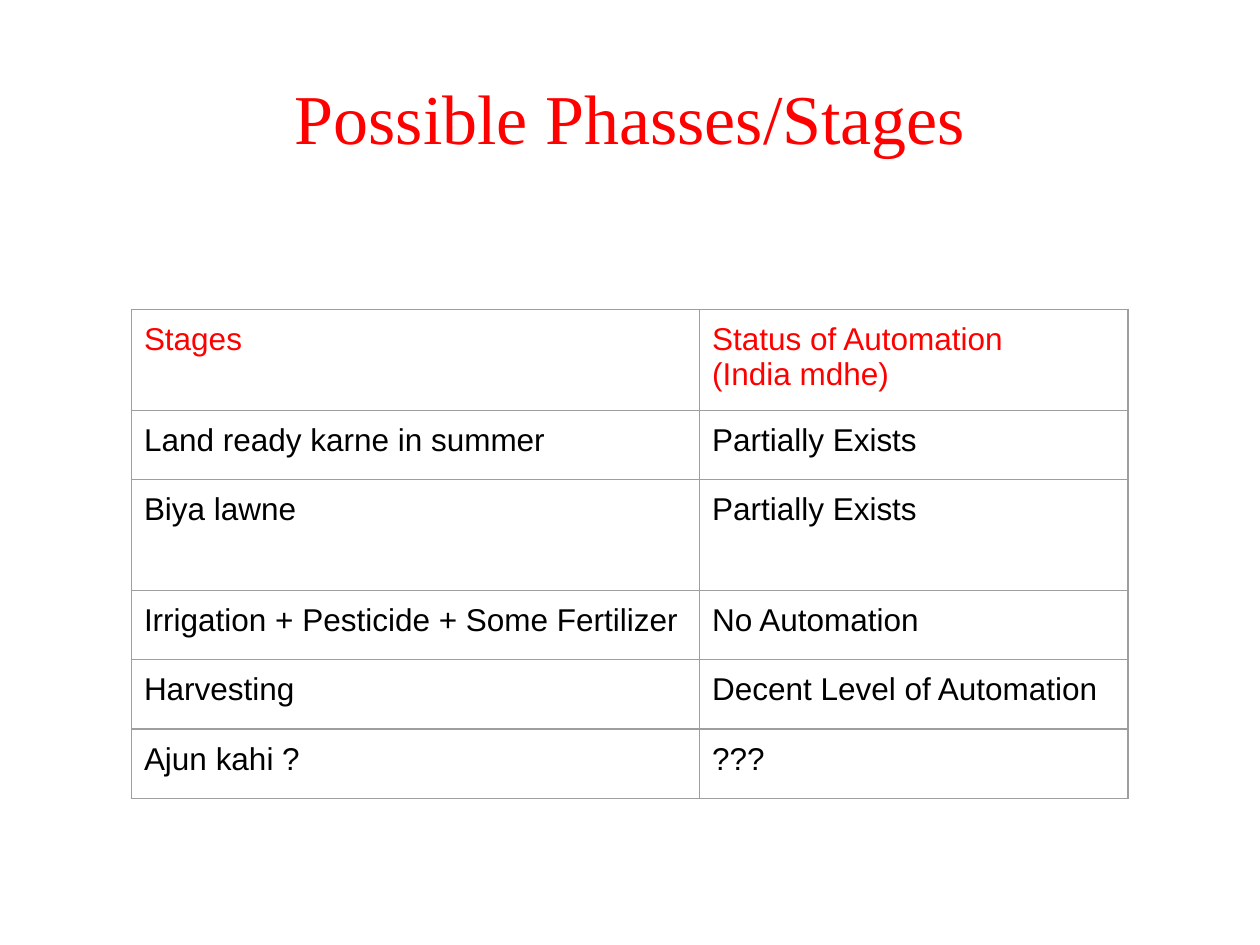
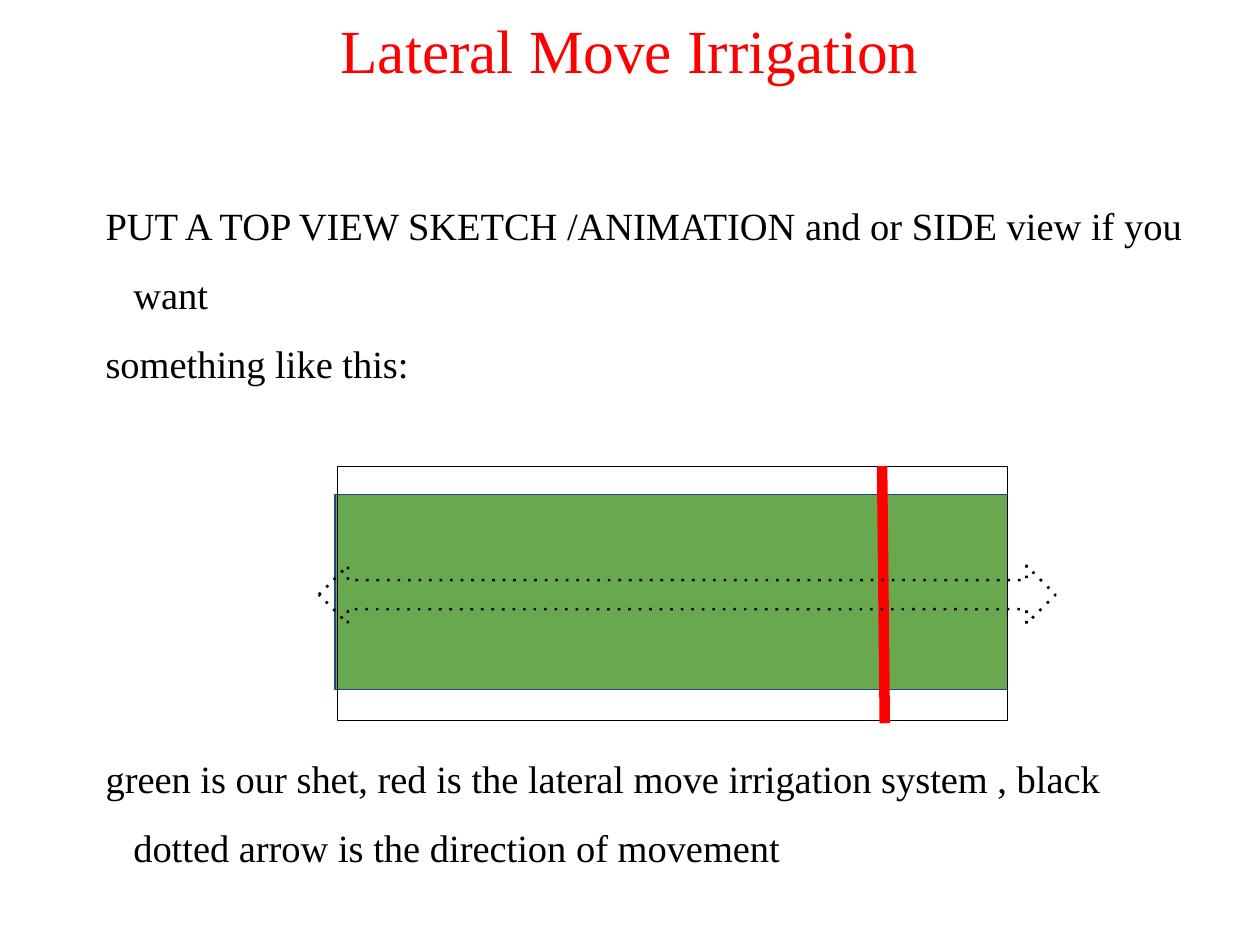
from collections import namedtuple

from lxml.etree import SubElement
from pptx import Presentation
from pptx.dml.color import RGBColor
from pptx.enum.shapes import MSO_CONNECTOR as Connector, MSO_SHAPE as Shape
from pptx.enum.text import MSO_ANCHOR as Anchor, PP_ALIGN as Align
from pptx.oxml.ns import qn
from pptx.util import Inches, Pt

COLORS = {
    "accent": "FF0000",
    "text": "000000",
    "table_border": "9E9E9E",
    "sheet": "6AA84F",
    "sheet_edge": "1F497D",
}
SERIF, SANS = "Times New Roman", "Arial"

# The slide is a grid of 100 columns by 75 rows of square cells
COLUMNS, ROWS = 100, 75
CELL = Inches(0.1)

Box = namedtuple("Box", "left top width height")

STAGES = [
    ("Stages", "Status of Automation\n(India mdhe)"),
    ("Land ready karne in summer", "Partially Exists"),
    ("Biya lawne", "Partially Exists"),
    ("Irrigation + Pesticide + Some Fertilizer", "No Automation"),
    ("Harvesting", "Decent Level of Automation"),
    ("Ajun kahi ?", "???"),
]


def color(name):
    return RGBColor.from_string(COLORS[name])


def grid(*cells):
    return [round(cell * CELL) for cell in cells]


def inside(box, left, top, width, height):
    """Box given by shares of another box."""
    return Box(box.left + left * box.width, box.top + top * box.height,
               width * box.width, height * box.height)


def format_text(text_frame, font_name, size, color_name):
    for paragraph in text_frame.paragraphs:
        for run in paragraph.runs:
            run.font.name = font_name
            run.font.size = Pt(size)
            run.font.color.rgb = color(color_name)


def add_text(slide, box, text, size, color_name):
    text_frame = slide.shapes.add_textbox(*grid(*box)).text_frame
    text_frame.word_wrap = True
    text_frame.text = text
    format_text(text_frame, SERIF, size, color_name)
    return text_frame


def add_title(slide, box, text, size):
    text_frame = add_text(slide, box, text, size, "accent")
    text_frame.vertical_anchor = Anchor.MIDDLE
    text_frame.paragraphs[0].alignment = Align.CENTER


def add_body(slide, box, text):
    text_frame = add_text(slide, box, text, 22, "text")
    for paragraph in text_frame.paragraphs:
        paragraph.line_spacing = 1.5
        properties = paragraph._p.get_or_add_pPr()
        properties.set("marL", str(Inches(0.38)))
        properties.set("indent", str(Inches(-0.22)))


def add_borders(cell):
    properties = cell._tc.get_or_add_tcPr()
    for position, side in enumerate(("lnL", "lnR", "lnT", "lnB")):
        line = SubElement(properties, qn(f"a:{side}"), w=str(Pt(0.75)))
        fill = SubElement(line, qn("a:solidFill"))
        SubElement(fill, qn("a:srgbClr"), val=COLORS["table_border"])
        properties.insert(position, line)


def add_stage_table(slide, box, column_shares, row_weights):
    frame = slide.shapes.add_table(len(STAGES), len(column_shares), *grid(*box))
    table = frame.table
    table.first_row = table.horz_banding = False
    for column, share in zip(table.columns, column_shares):
        column.width = grid(share * box.width)[0]
    for row, weight in zip(table.rows, row_weights):
        row.height = grid(weight * box.height / sum(row_weights))[0]
    for row_index, texts in enumerate(STAGES):
        for column_index, text in enumerate(texts):
            cell = table.cell(row_index, column_index)
            cell.text = text
            cell.margin_left = cell.margin_right = CELL
            cell.margin_top = cell.margin_bottom = CELL
            cell.fill.background()
            add_borders(cell)
            format_text(cell.text_frame, SANS, 18, "text" if row_index else "accent")


def add_outline(slide, kind, box, line_color, width, fill=None):
    shape = slide.shapes.add_shape(kind, *grid(*box))
    shape.shadow.inherit = False
    if fill:
        shape.fill.solid()
        shape.fill.fore_color.rgb = color(fill)
    else:
        shape.fill.background()
    shape.line.color.rgb = color(line_color)
    shape.line.width = Pt(width)
    return shape


def add_field_sketch(slide, box):
    # Green sheet inside the field boundary
    add_outline(slide, Shape.RECTANGLE, inside(box, -0.004, 0.11, 1.004, 0.767),
                "sheet_edge", 0.75, "sheet")
    add_outline(slide, Shape.RECTANGLE, box, "text", 0.75)

    # Irrigation system across the field
    start_x, end_x = (box.left + share * box.width for share in (0.813, 0.817))
    system = slide.shapes.add_connector(
        Connector.STRAIGHT, *grid(start_x, box.top, end_x, box.top + 1.01 * box.height))
    system.line.color.rgb = color("accent")
    system.line.width = Pt(6)
    SubElement(system._element.spPr, qn("a:effectLst"))

    # Direction of movement
    arrow = add_outline(slide, Shape.LEFT_RIGHT_ARROW,
                        inside(box, -0.028, 0.391, 1.1, 0.228), "text", 1.5)
    SubElement(arrow.line._get_or_add_ln(), qn("a:prstDash"), val="dot")


def build_stages_slide(slide):
    add_title(slide, Box(5, 3, COLUMNS - 10, 12.5), "Possible Phasses/Stages", 40)
    add_stage_table(slide, Box(10.43, 24.55, 79.1, 36.3), (0.57, 0.43),
                    (0.55, 0.55, 0.88, 0.55, 0.55, 0.55))


def build_irrigation_slide(slide):
    add_title(slide, Box(5, 0, COLUMNS - 10, 7.8), "Lateral Move Irrigation", 35)
    add_body(slide, Box(5.8, 13.7, COLUMNS - 10, 17),
             "PUT A TOP VIEW SKETCH /ANIMATION and or SIDE view if you want\n"
             "something like this:")
    add_field_sketch(slide, Box(26.8, 37, 53.15, 20.2))
    add_body(slide, Box(5.8, 57.6, COLUMNS - 10, 11),
             "green is our shet, red is the lateral move irrigation system , "
             "black dotted arrow is the direction of movement")


def main():
    presentation = Presentation()
    presentation.slide_width, presentation.slide_height = grid(COLUMNS, ROWS)
    blank = presentation.slide_layouts[6]
    for build in (build_stages_slide, build_irrigation_slide):
        build(presentation.slides.add_slide(blank))
    presentation.save("out.pptx")


if __name__ == "__main__":
    main()
